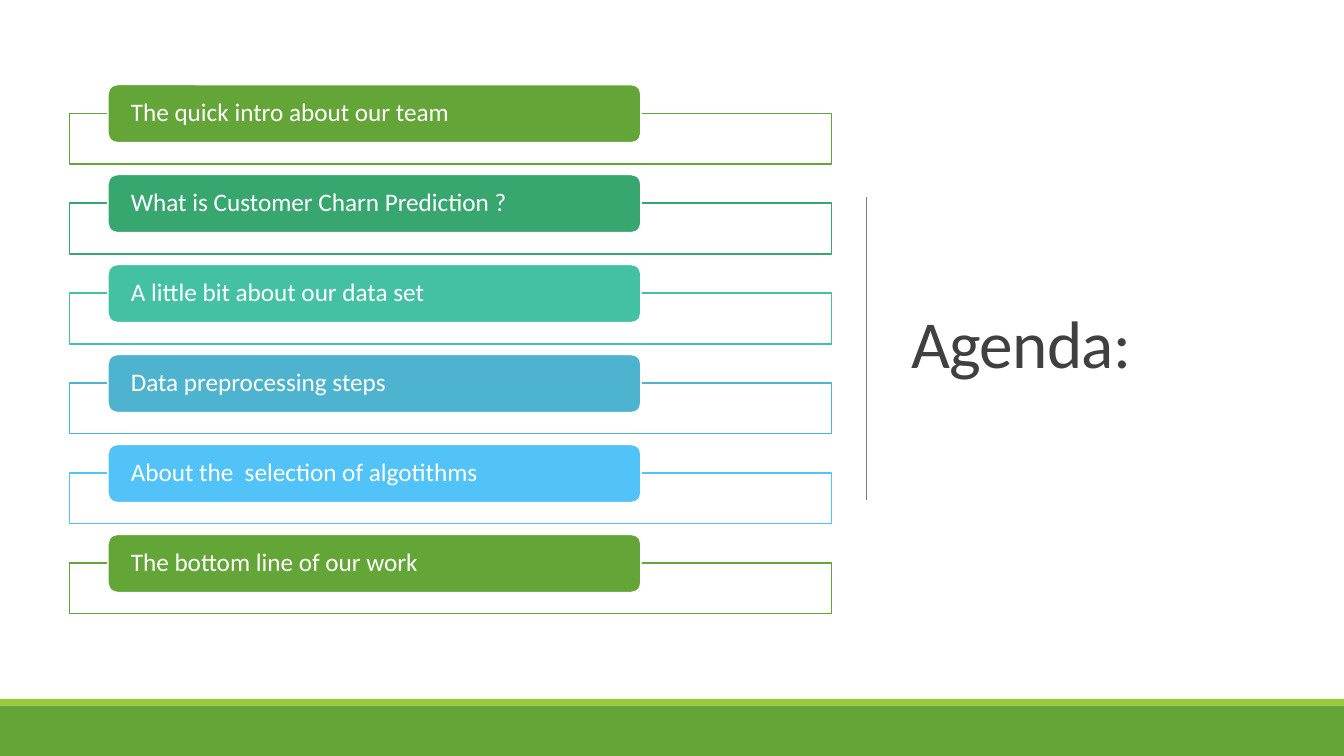
"""Build the agenda slide with its six labelled rows."""
from lxml.etree import SubElement
from pptx import Presentation
from pptx.dml.color import RGBColor
from pptx.enum.shapes import MSO_CONNECTOR, MSO_SHAPE
from pptx.enum.text import MSO_ANCHOR, MSO_AUTO_SIZE, PP_ALIGN
from pptx.oxml.ns import qn
from pptx.util import Inches, Pt

COLOURS = {
    "white": "FFFFFF", "ink": "404040", "rule": "808080", "lime": "99CB38",
    "green": "63A537", "emerald": "37A76F", "teal": "44C1A3",
    "steel": "4EB3CF", "sky": "51C3F9",
}
AGENDA = [
    ("The quick intro about our team", "green"),
    ("What is Customer Charn Prediction ?", "emerald"),
    ("A little bit about our data set", "teal"),
    ("Data preprocessing steps", "steel"),
    ("About the  selection of algotithms", "sky"),
    ("The bottom line of our work", "green"),
]
COLUMNS, ROWS = 160, 90
FRAME_TOP, BAR_TOP, ROW_PITCH = 13.5, 10.05, 10.71


def colour(name):
    return RGBColor.from_string(COLOURS[name])


class AgendaSlide:
    def __init__(self, presentation):
        self.font = "Calibri"
        self.column = presentation.slide_width / COLUMNS
        self.row = presentation.slide_height / ROWS
        self.slide = presentation.slides.add_slide(presentation.slide_layouts[5])
        self.slide.background.fill.solid()
        self.slide.background.fill.fore_color.rgb = colour("white")

    def place(self, left, top, width, height):
        return (round(left * self.column), round(top * self.row),
                round(width * self.column), round(height * self.row))

    def style_text(self, text_frame, size, text_colour, line_spacing):
        text_frame.word_wrap = True
        text_frame.auto_size = MSO_AUTO_SIZE.NONE
        text_frame.vertical_anchor = MSO_ANCHOR.MIDDLE
        paragraph = text_frame.paragraphs[0]
        paragraph.alignment = PP_ALIGN.LEFT
        paragraph.line_spacing = line_spacing
        paragraph.font.name = self.font
        paragraph.font.size = Pt(size)
        paragraph.font.color.rgb = colour(text_colour)

    def title(self, text, *area):
        title = self.slide.shapes.title
        title.left, title.top, title.width, title.height = self.place(*area)
        title.text_frame.text = text
        self.style_text(title.text_frame, 48, "ink", 0.85)
        run = title.text_frame.paragraphs[0].runs[0]
        run.font._element.set("spc", "-50")

    def box(self, kind, area, fill, outline=None):
        shape = self.slide.shapes.add_shape(kind, *self.place(*area))
        shape.shadow.inherit = False
        shape.fill.solid()
        shape.fill.fore_color.rgb = colour(fill)
        if outline:
            shape.line.color.rgb = colour(outline)
            shape.line.width = Pt(1.25)
        else:
            shape.line.fill.background()
        return shape

    def frame(self, area, outline):
        shape = self.box(MSO_SHAPE.RECTANGLE, area, "white", outline)
        fill_colour = shape._element.spPr.find(qn("a:solidFill"))[0]
        SubElement(fill_colour, qn("a:alpha"), val="90000")

    def bar(self, text, area, fill):
        shape = self.box(MSO_SHAPE.ROUNDED_RECTANGLE, area, fill, "white")
        text_frame = shape.text_frame
        text_frame.text = text
        text_frame.margin_left = text_frame.margin_right = Inches(0.2)
        text_frame.margin_top = text_frame.margin_bottom = 0
        self.style_text(text_frame, 18, "white", 0.9)

    def divider(self, left, top, height):
        x, y, _, length = self.place(left, top, 0, height)
        connector = self.slide.shapes.add_connector(
            MSO_CONNECTOR.STRAIGHT, x, y, x, y + length)
        connector.line.color.rgb = colour("rule")
        connector.line.width = Pt(0.5)
        SubElement(connector._element.spPr, qn("a:effectLst"))


def main():
    presentation = Presentation()
    presentation.slide_width = Inches(13.333)
    presentation.slide_height = Inches(7.5)
    agenda = AgendaSlide(presentation)
    agenda.title("Agenda:", 107.28, 8.28, 44.28, 66.36)
    agenda.divider(103.08, 23.5, 36)
    agenda.box(MSO_SHAPE.RECTANGLE, (0, 83.2, COLUMNS, 0.8), "lime")
    agenda.box(MSO_SHAPE.RECTANGLE, (0, 84, COLUMNS, 6), "green")
    for index, (text, accent) in enumerate(AGENDA):
        offset = index * ROW_PITCH
        agenda.frame((8.28, FRAME_TOP + offset, 90.72, 6), accent)
        agenda.bar(text, (12.84, BAR_TOP + offset, 63.48, 6.96), accent)
    presentation.save("out.pptx")


if __name__ == "__main__":
    main()
